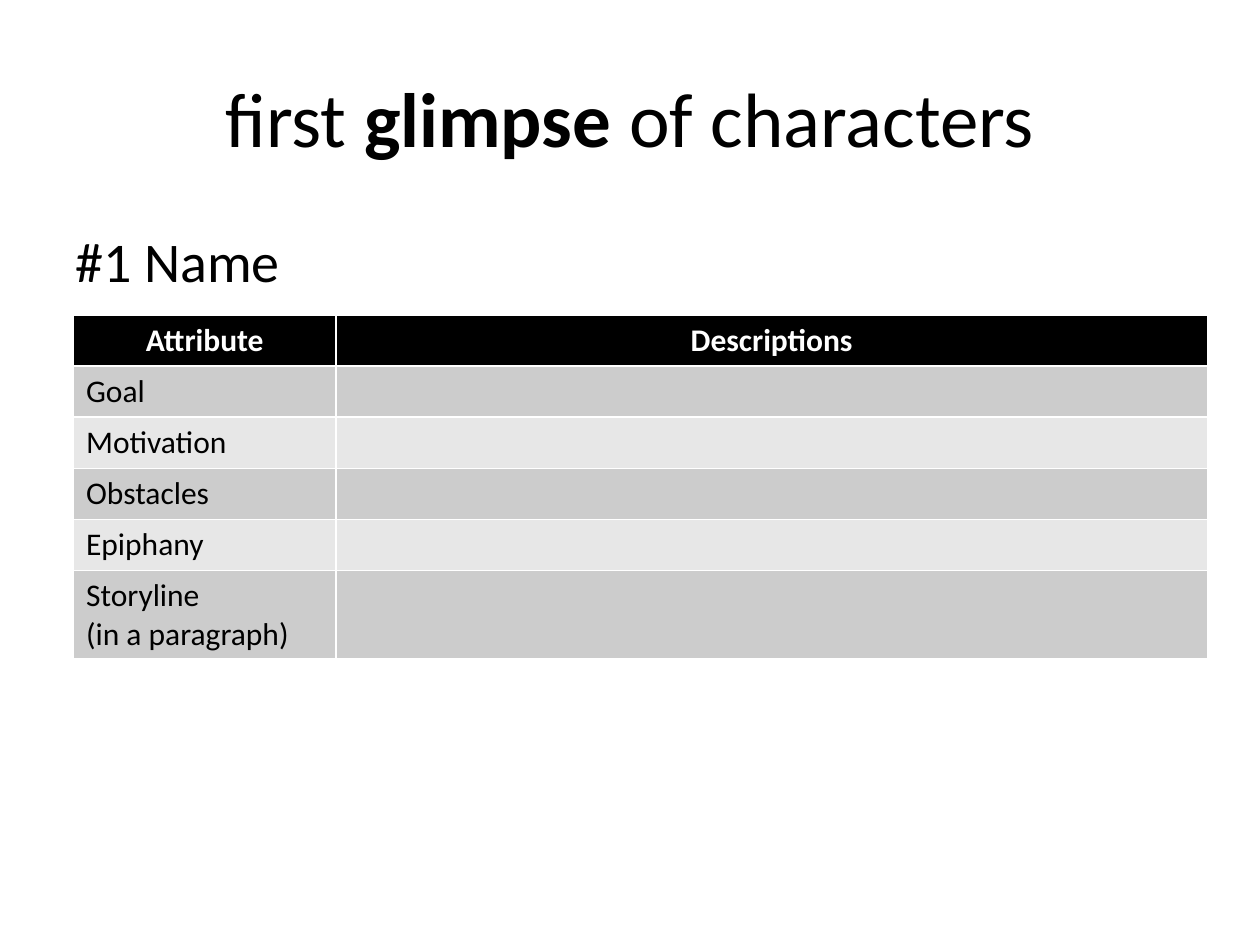
"""Build a slide with a character attribute table."""
import pptx
import pptx.dml.color
import pptx.enum.text
import pptx.util

Pt = pptx.util.Pt
ALIGN = pptx.enum.text.PP_ALIGN
BLACK = pptx.dml.color.RGBColor(0x00, 0x00, 0x00)
WHITE = pptx.dml.color.RGBColor(0xFF, 0xFF, 0xFF)
DARK_BAND = pptx.dml.color.RGBColor(0xCC, 0xCC, 0xCC)
LIGHT_BAND = pptx.dml.color.RGBColor(0xE7, 0xE7, 0xE7)


def add_run(paragraph, text, size, color=BLACK, bold=False):
    run = paragraph.add_run()
    run.text = text
    run.font.name = "Calibri"
    run.font.size = Pt(size)
    run.font.bold = bold
    run.font.color.rgb = color


presentation = pptx.Presentation()
presentation.slide_width, presentation.slide_height = Pt(720), Pt(540)
slide = presentation.slides.add_slide(presentation.slide_layouts[5])

title = slide.shapes.title
title.left, title.top, title.width, title.height = Pt(36), Pt(21.6), Pt(648), Pt(90)
title.text_frame.vertical_anchor = pptx.enum.text.MSO_ANCHOR.MIDDLE
paragraph = title.text_frame.paragraphs[0]
paragraph.alignment = ALIGN.CENTER
for text, bold in [("first ", False), ("glimpse", True), (" of characters", False)]:
    add_run(paragraph, text, 44, bold=bold)

name_box = slide.shapes.add_textbox(Pt(36), Pt(126), Pt(648), Pt(54))
name_box.text_frame.word_wrap = True
paragraph = name_box.text_frame.paragraphs[0]
paragraph.space_before = Pt(6.4)
add_run(paragraph, "#1 Name", 32)

rows = [
    [["Attribute"], ["Descriptions"]],
    [["Goal"], []],
    [["Motivation"], []],
    [["Obstacles"], []],
    [["Epiphany"], []],
    [["Storyline", "(in a paragraph)"], []],
]
table = slide.shapes.add_table(len(rows), 2, Pt(42), Pt(180), Pt(648), Pt(196)).table
table.columns[0].width, table.columns[1].width = Pt(150), Pt(498)

for row_index, row in enumerate(rows):
    header = row_index == 0
    table.rows[row_index].height = Pt(29.2 if len(row[0]) == 1 else 50)
    band = BLACK if header else DARK_BAND if row_index % 2 else LIGHT_BAND
    for column_index, lines in enumerate(row):
        cell = table.cell(row_index, column_index)
        cell.fill.solid()
        cell.fill.fore_color.rgb = band
        for line_index, line in enumerate(lines):
            frame = cell.text_frame
            paragraph = frame.add_paragraph() if line_index else frame.paragraphs[0]
            paragraph.alignment = ALIGN.CENTER if header else ALIGN.LEFT
            add_run(paragraph, line, 18, WHITE if header else BLACK, header)

presentation.save("out.pptx")
